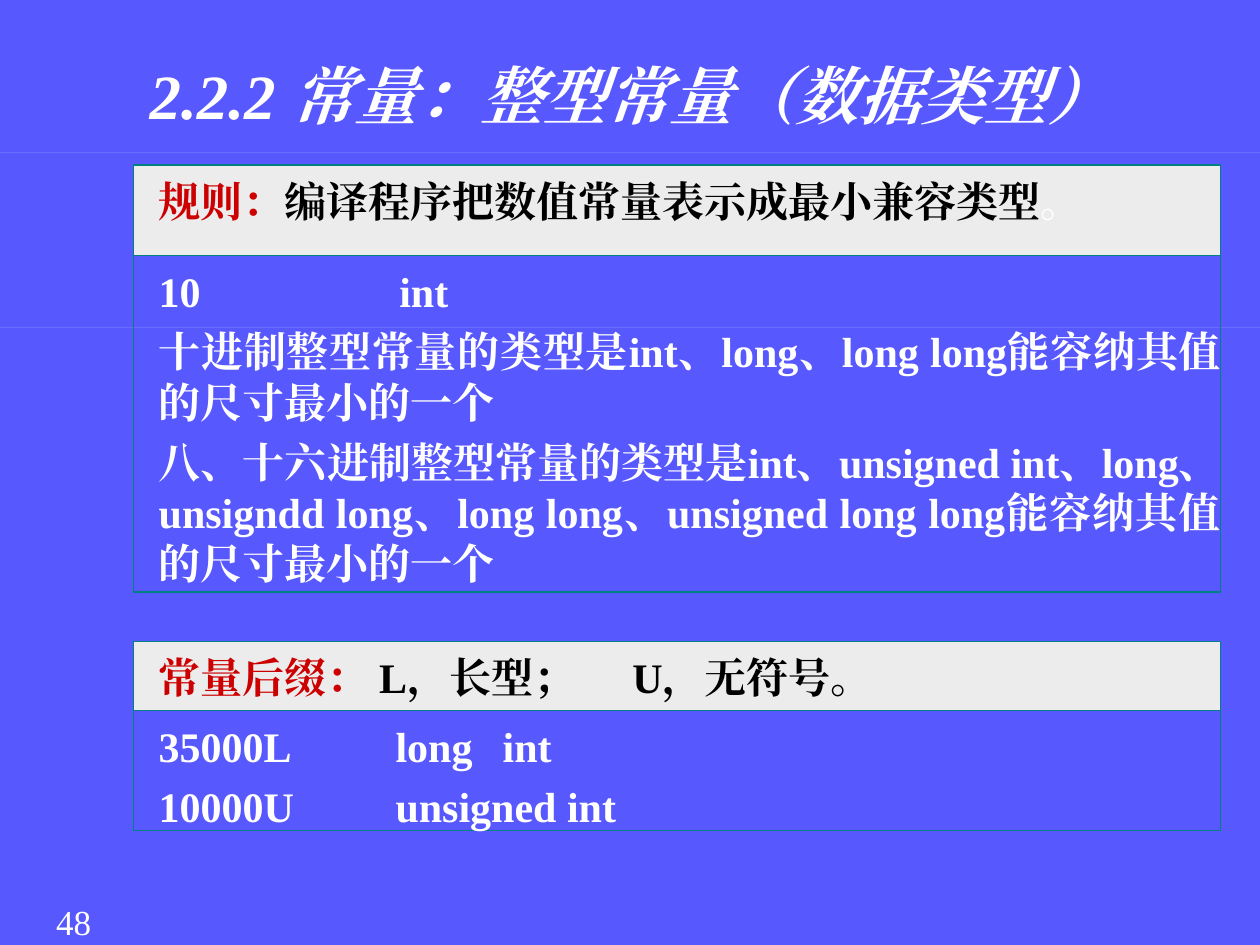
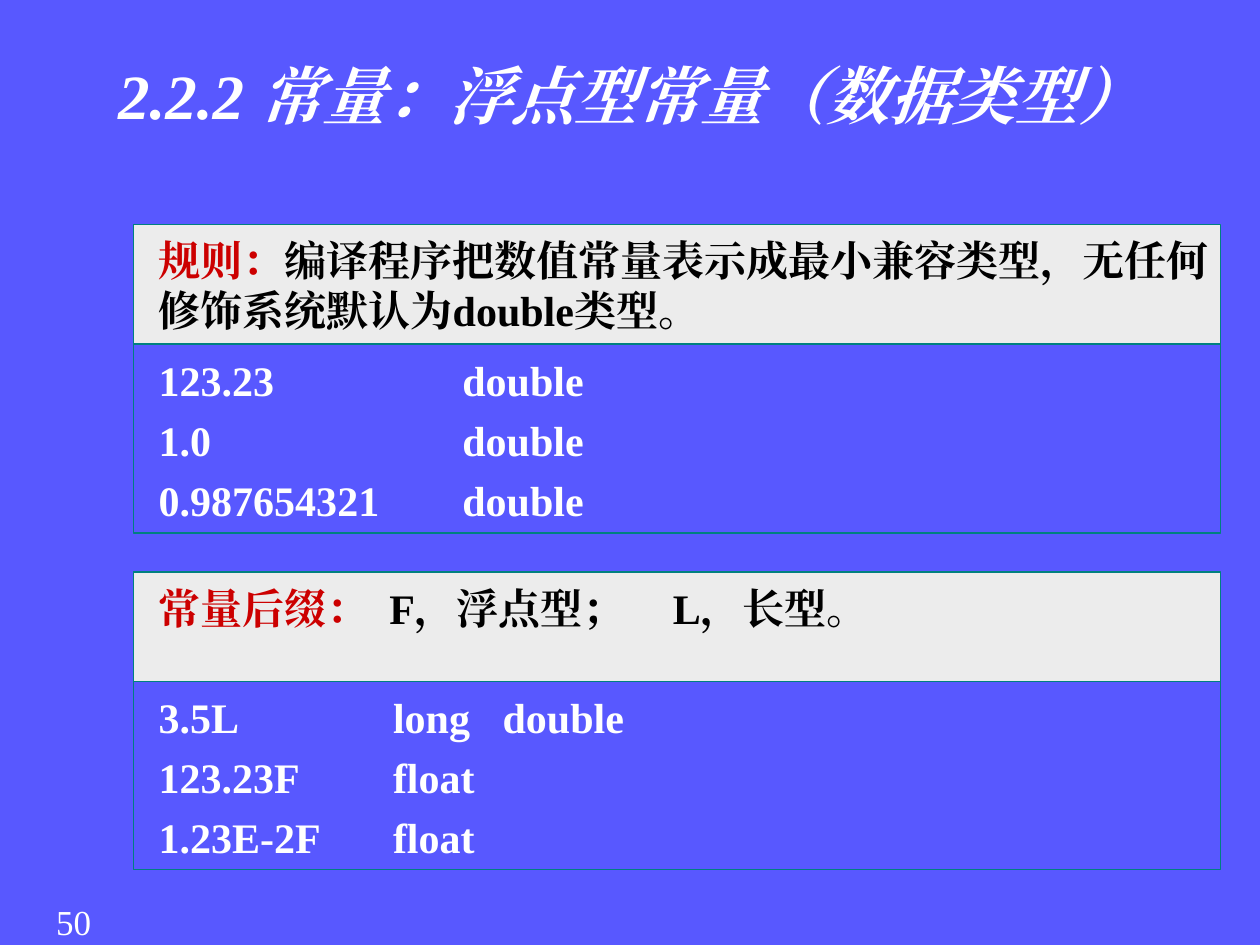
from lxml import etree
from pptx import Presentation
from pptx.dml.color import RGBColor
from pptx.enum.shapes import MSO_SHAPE
from pptx.enum.text import MSO_ANCHOR, PP_ALIGN
from pptx.oxml.ns import qn
from pptx.util import Inches, Pt

RECTANGLE = MSO_SHAPE.RECTANGLE
TOP = MSO_ANCHOR.TOP
LEFT, CENTER, JUSTIFY = PP_ALIGN.LEFT, PP_ALIGN.CENTER, PP_ALIGN.JUSTIFY

FONT = "Times New Roman"
BLUE, WHITE, BLACK, RED = "5858FF", "FFFFFF", "000000", "CC0000"
PANEL_GREY, RULE_GREY, TEAL = "ECECEC", "F0F0F0", "008080"
PANEL_LEFT, PANEL_WIDTH = 1.06, 8.63

# Tabs are in inches from the start of the text; heights are header, body.
SLIDES = [
    {
        "number": "48",
        "title": "2.2.2 常量：整型常量（数据类型）",
        "rules": [1.21, 2.6],
        "align": JUSTIFY,
        "panels": [
            {
                "top": 1.31, "heights": (0.72, 2.67),
                "header": [("规则：", RED), ("编译程序把数值常量表示成最小兼容类型", BLACK),
                           ("。", WHITE)],
                "header_tabs": [],
                "rows": [
                    "10\tint",
                    "十进制整型常量的类型是int、long、long long能容纳其值的尺寸最小的一个",
                    "八、十六进制整型常量的类型是int、unsigned int、long、unsigndd long、"
                    "long long、unsigned long long能容纳其值的尺寸最小的一个",
                ],
                "row_tabs": [1.91],
            },
            {
                "top": 5.09, "heights": (0.55, 0.95),
                "header": [("常量后缀：", RED), ("\tL，长型；\tU，无符号。", BLACK)],
                "header_tabs": [1.75, 3.76],
                "rows": ["35000L\tlong\tint", "10000U\tunsigned int"],
                "row_tabs": [1.88, 2.73],
            },
        ],
    },
    {
        "number": "50",
        "title": "2.2.2 常量：浮点型常量（数据类型）",
        "rules": [],
        "align": LEFT,
        "panels": [
            {
                "top": 1.78, "heights": (0.95, 1.5),
                "header": [("规则：", RED),
                           ("编译程序把数值常量表示成最小兼容类型，"
                            "无任何修饰系统默认为double类型。", BLACK)],
                "header_tabs": [],
                "rows": ["123.23\tdouble", "1.0\tdouble", "0.987654321\tdouble"],
                "row_tabs": [2.41],
            },
            {
                "top": 4.54, "heights": (0.87, 1.49),
                "header": [("常量后缀：", RED), ("\tF，浮点型；\tL，长型。", BLACK)],
                "header_tabs": [1.83, 4.08],
                "rows": ["3.5L\tlong\tdouble", "123.23F\tfloat", "1.23E-2F\tfloat"],
                "row_tabs": [1.86, 2.73],
            },
        ],
    },
]


def rgb(color):
    return RGBColor.from_string(color)


def add_run(paragraph, text, color, size, bold=True, italic=False):
    run = paragraph.add_run()
    run.text = text
    run.font.name = FONT
    run.font.size = Pt(size)
    run.font.bold, run.font.italic = bold, italic
    run.font.color.rgb = rgb(color)
    properties = run.font._element
    properties.set("lang", "zh-CN")
    etree.SubElement(properties, qn("a:ea"), typeface=FONT)


def add_tabs(paragraph, positions):
    if positions:
        tabs = etree.SubElement(paragraph._p.get_or_add_pPr(), qn("a:tabLst"))
        for position in positions:
            etree.SubElement(tabs, qn("a:tab"), pos=str(Inches(position)), algn="l")


def add_label(slide, text, left, top, width, height, **style):
    frame = slide.shapes.add_textbox(
        Inches(left), Inches(top), Inches(width), Inches(height)).text_frame
    frame.word_wrap = True
    paragraph = frame.paragraphs[0]
    paragraph.alignment = CENTER
    add_run(paragraph, text, WHITE, **style)


def add_rectangle(slide, left, top, width, height, fill=None, line=None):
    rectangle = slide.shapes.add_shape(
        RECTANGLE, Inches(left), Inches(top), Inches(width), Inches(height))
    rectangle.shadow.inherit = False
    if fill:
        rectangle.fill.solid()
        rectangle.fill.fore_color.rgb = rgb(fill)
    else:
        rectangle.fill.background()
    if line:
        rectangle.line.color.rgb = rgb(line)
        rectangle.line.width = Pt(0.75)
    else:
        rectangle.line.fill.background()
    return rectangle


def add_cell(slide, top, height, paragraphs, tabs, align, fill=None):
    """Add one framed part of a panel; each paragraph is a list of (text, colour)."""
    cell = add_rectangle(slide, PANEL_LEFT, top, PANEL_WIDTH, height, fill, TEAL)
    frame = cell.text_frame
    frame.word_wrap = True
    frame.vertical_anchor = TOP
    frame.margin_left, frame.margin_right = Inches(0.2), 0
    frame.margin_top, frame.margin_bottom = Inches(0.08), Inches(0.05)
    for index, runs in enumerate(paragraphs):
        paragraph = frame.add_paragraph() if index else frame.paragraphs[0]
        add_tabs(paragraph, tabs)
        paragraph.alignment = align
        paragraph.space_before = Pt(5.5 if index else 0)
        for text, color in runs:
            add_run(paragraph, text, color, 24)


def add_panel(slide, panel, align):
    top = panel["top"]
    header_height, body_height = panel["heights"]
    add_cell(slide, top, header_height, [panel["header"]],
             panel["header_tabs"], align, PANEL_GREY)
    add_cell(slide, top + header_height, body_height,
             [[(row, WHITE)] for row in panel["rows"]], panel["row_tabs"], align)


def build_slide(deck, content):
    slide = deck.slides.add_slide(deck.slide_layouts[6])
    slide.background.fill.solid()
    slide.background.fill.fore_color.rgb = rgb(BLUE)
    add_label(slide, content["number"], 0.17, 7.1, 0.83, 0.4, size=20, bold=False)
    add_label(slide, content["title"], 0.69, 0.4, 8.62, 1.45, size=36, italic=True)
    for top in content["rules"]:
        add_rectangle(slide, 0, top, 10, 0, RULE_GREY)
    for panel in content["panels"]:
        add_panel(slide, panel, content["align"])


def main():
    deck = Presentation()
    deck.slide_width, deck.slide_height = Inches(10), Inches(7.5)
    for content in SLIDES:
        build_slide(deck, content)
    deck.save("out.pptx")


if __name__ == "__main__":
    main()
